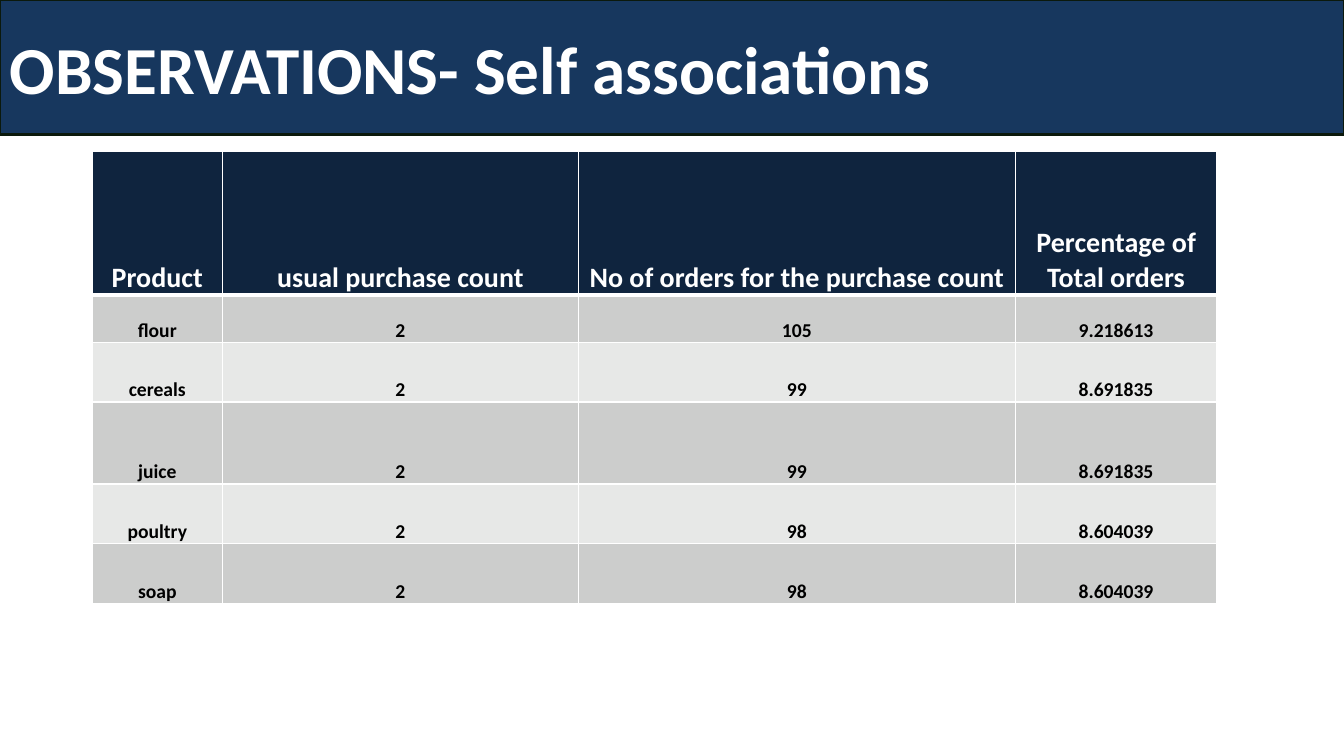
from dataclasses import dataclass

from lxml import etree
from pptx import Presentation
from pptx.dml.color import RGBColor
from pptx.enum.shapes import MSO_SHAPE
from pptx.enum.text import MSO_ANCHOR, PP_ALIGN
from pptx.oxml.ns import qn
from pptx.util import Pt

RECTANGLE = MSO_SHAPE.RECTANGLE
MIDDLE, BOTTOM = MSO_ANCHOR.MIDDLE, MSO_ANCHOR.BOTTOM
LEFT, CENTER = PP_ALIGN.LEFT, PP_ALIGN.CENTER

SLIDE_WIDTH, SLIDE_HEIGHT = 960, 540
COLUMN_WIDTHS = (93.2, 254.2, 312.2, 143.8)
ROW_HEIGHTS = (102.6, 34, 42.6, 58.6, 42.6, 42.6)
TITLE = "OBSERVATIONS- Self associations"
ROWS = (
    ("Product", "usual purchase count", "No of orders for the purchase count",
     "Percentage of Total orders"),
    ("flour", "2", "105", "9.218613"),
    ("cereals", "2", "99", "8.691835"),
    ("juice", "2", "99", "8.691835"),
    ("poultry", "2", "98", "8.604039"),
    ("soap", "2", "98", "8.604039"),
)


@dataclass(frozen=True)
class Theme:
    """Hold the colours, font and type sizes of the slide."""
    font: str = "Calibri"
    banner: str = "17375E"
    banner_line: str = "0B190C"
    header: str = "0F243E"
    bands: tuple = ("CCCDCC", "E7E8E7")
    light: str = "FFFFFF"
    dark: str = "000000"
    title_size: int = 48
    header_size: int = 20
    body_size: int = 14


THEME = Theme()


def paint(fill, color):
    """Give a fill one solid colour."""
    fill.solid()
    fill.fore_color.rgb = RGBColor.from_string(color)


def write(text_frame, text, size, color, alignment):
    """Write one bold run into the first paragraph."""
    paragraph = text_frame.paragraphs[0]
    paragraph.alignment = alignment
    run = paragraph.add_run()
    run.text = text
    run.font.name = THEME.font
    run.font.size = Pt(size)
    run.font.bold = True
    run.font.color.rgb = RGBColor.from_string(color)


def set_borders(cell, top, bottom):
    """Draw the four light borders of a cell, with the given top and bottom widths."""
    properties = cell._tc.get_or_add_tcPr()
    for side, width in (("L", 1), ("R", 1), ("T", top), ("B", bottom)):
        line = etree.SubElement(properties, qn(f"a:ln{side}"), w=str(Pt(width)))
        solid = etree.SubElement(line, qn("a:solidFill"))
        etree.SubElement(solid, qn("a:srgbClr"), val=THEME.light)


def add_banner(slide, left, top, width, height):
    """Add the title banner."""
    banner = slide.shapes.add_shape(RECTANGLE, Pt(left), Pt(top), Pt(width), Pt(height))
    banner.shadow.inherit = False
    paint(banner.fill, THEME.banner)
    paint(banner.line.fill, THEME.banner_line)
    banner.line.width = Pt(2)
    banner.text_frame.word_wrap = True
    banner.text_frame.vertical_anchor = MIDDLE
    write(banner.text_frame, TITLE, THEME.title_size, THEME.light, LEFT)


def fill_cell(cell, text, row_index):
    """Style one cell by its row and write its text."""
    is_header = row_index == 0
    set_borders(cell, 3 if row_index == 1 else 1, 3 if is_header else 1)
    paint(cell.fill, THEME.header if is_header else THEME.bands[(row_index - 1) % 2])
    cell.margin_left = cell.margin_right = cell.margin_top = Pt(0.75)
    cell.margin_bottom = Pt(0)
    cell.vertical_anchor = BOTTOM
    size = THEME.header_size if is_header else THEME.body_size
    color = THEME.light if is_header else THEME.dark
    write(cell.text_frame, text, size, color, CENTER)


def add_orders_table(slide, left, top, width, height):
    """Add the product table, sharing the box among its columns and rows."""
    frame = slide.shapes.add_table(
        len(ROWS), len(COLUMN_WIDTHS), Pt(left), Pt(top), Pt(width), Pt(height))
    table = frame.table
    for column, share in zip(table.columns, COLUMN_WIDTHS):
        column.width = Pt(width * share / sum(COLUMN_WIDTHS))
    for row, share in zip(table.rows, ROW_HEIGHTS):
        row.height = Pt(height * share / sum(ROW_HEIGHTS))
    for row_index, texts in enumerate(ROWS):
        for column_index, text in enumerate(texts):
            fill_cell(table.cell(row_index, column_index), text, row_index)


def main():
    """Build and save the slide."""
    presentation = Presentation()
    presentation.slide_width = Pt(SLIDE_WIDTH)
    presentation.slide_height = Pt(SLIDE_HEIGHT)
    slide = presentation.slides.add_slide(presentation.slide_layouts[6])
    add_banner(slide, 0, 0, SLIDE_WIDTH, 96)
    add_orders_table(slide, 65.8, 108, sum(COLUMN_WIDTHS), sum(ROW_HEIGHTS))
    presentation.save("out.pptx")


if __name__ == "__main__":
    main()
